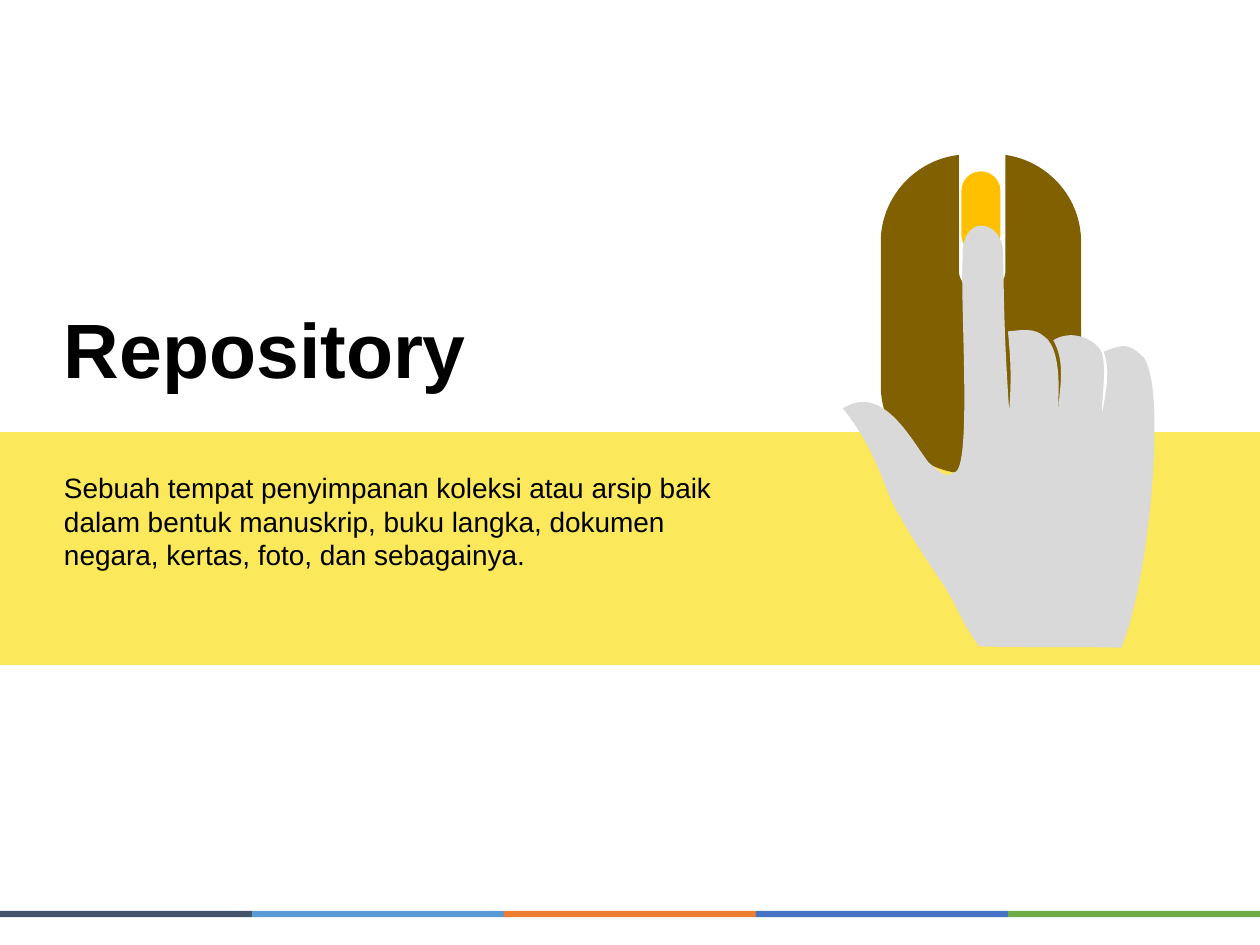
from lxml.etree import SubElement
from pptx import Presentation
from pptx.dml.color import RGBColor
from pptx.enum.shapes import MSO_SHAPE
from pptx.oxml.ns import qn
from pptx.util import Inches, Pt

BLACK = RGBColor(0, 0, 0)
YELLOW = RGBColor(0xFB, 0xE8, 0x5B)
BROWN = RGBColor(0x80, 0x60, 0x00)
GOLD = RGBColor(0xFF, 0xC0, 0x00)
GREY = RGBColor(0xD9, 0xD9, 0xD9)
STRIPES = [RGBColor.from_string(c) for c in
           ("44546A", "5B9BD5", "ED7D31", "4472C4", "70AD47")]

WIDTH, HEIGHT = 10, 7.5
MARGIN = 0.41

TITLE = "Repository"
BODY = ("Sebuah tempat penyimpanan koleksi atau arsip baik dalam bentuk "
        "manuskrip, buku langka, dokumen negara, kertas, foto, dan sebagainya.")

MOUSE_BOX = (6.99, 1.23, 1.59, 2.53)
MOUSE = [
    (7.61, 1.23), (7.61, 2.15), (7.61, 2.22, 7.66, 2.28, 7.72, 2.3),
    (7.72, 2.62), (7.72, 2.66, 7.75, 2.69, 7.79, 2.69),
    (7.83, 2.69, 7.86, 2.66, 7.86, 2.62), (7.86, 2.3),
    (7.93, 2.28, 7.98, 2.22, 7.98, 2.15), (7.98, 1.23),
    (8.32, 1.28, 8.58, 1.57, 8.58, 1.92), (8.58, 2.36), (8.58, 2.36),
    (8.58, 3.06), (8.58, 3.45, 8.27, 3.76, 7.88, 3.76), (7.69, 3.76),
    (7.31, 3.76, 6.99, 3.45, 6.99, 3.06), (6.99, 2.37), (6.99, 2.37),
    (6.99, 1.92), (6.99, 1.57, 7.26, 1.27, 7.61, 1.23),
]
HAND_BOX = (6.69, 1.79, 2.47, 3.35)
HAND = [
    (6.69, 3.24), (6.89, 3.49, 6.98, 3.73, 7.06, 3.94),
    (7.15, 4.13, 7.28, 4.33, 7.44, 4.57), (7.61, 4.81, 7.6, 4.89, 7.77, 5.13),
    (8.1, 5.14, 8.42, 5.13, 8.9, 5.14), (9.11, 4.6, 9.16, 3.71, 9.16, 3.53),
    (9.17, 3.19, 9.15, 2.96, 9.08, 2.84), (8.96, 2.72, 8.92, 2.73, 8.76, 2.79),
    (8.82, 2.94, 8.77, 3.14, 8.75, 3.27), (8.73, 3.27, 8.8, 2.86, 8.73, 2.77),
    (8.65, 2.67, 8.49, 2.62, 8.36, 2.7), (8.46, 2.88, 8.41, 3.08, 8.4, 3.24),
    (8.39, 3.23, 8.44, 2.85, 8.32, 2.7), (8.23, 2.61, 8.18, 2.61, 8, 2.63),
    (8.02, 2.85, 8.03, 2.98, 8.01, 3.26), (7.96, 2.53, 7.97, 2.24, 7.96, 1.99),
    (7.95, 1.74, 7.62, 1.69, 7.64, 2.05), (7.62, 2.41, 7.71, 3.63, 7.59, 3.74),
    (7.5, 3.79, 7.5, 3.78, 7.37, 3.67), (7.23, 3.49, 7.01, 3.04, 6.69, 3.24),
]


def paint(shape, color):
    shape.fill.solid()
    shape.fill.fore_color.rgb = color
    shape.line.fill.background()
    shape.shadow.inherit = False
    return shape


def block(shapes, kind, box, color):
    return paint(shapes.add_shape(kind, *map(Inches, box)), color)


def outline(shapes, box, route, color):
    left, top, wide, high = map(Inches, box)
    pen = shapes.build_freeform(left, top)
    pen.add_line_segments([(left + wide, top), (left + wide, top + high)])
    shape = pen.convert_to_shape()
    track = next(shape.element.iter(qn("a:path")))
    for node in list(track):
        track.remove(node)
    for turn, part in enumerate(route):
        tag = "cubicBezTo" if len(part) == 6 else "lnTo" if turn else "moveTo"
        node = SubElement(track, qn("a:" + tag))
        for x, y in zip(part[::2], part[1::2]):
            SubElement(node, qn("a:pt"), x=str(Inches(x) - left),
                       y=str(Inches(y) - top))
    SubElement(track, qn("a:close"))
    return paint(shape, color)


def label(shapes, text, box, size, pitch, bold=False, wrap=True):
    frame = shapes.add_textbox(*map(Inches, box)).text_frame
    frame.word_wrap = wrap
    line = frame.paragraphs[0]
    line.text = text
    line.line_spacing = Pt(pitch)
    font = line.font
    font.name, font.size, font.bold = "Arial", Pt(size), bold
    font.color.rgb = BLACK


def main():
    deck = Presentation()
    deck.slide_width, deck.slide_height = Inches(WIDTH), Inches(HEIGHT)
    shapes = deck.slides.add_slide(deck.slide_layouts[6]).shapes

    block(shapes, MSO_SHAPE.RECTANGLE, (0, 3.43, WIDTH, 1.85), YELLOW)
    label(shapes, BODY, (MARGIN, 3.69, 5.44, 1.45), 16, 19.1)
    label(shapes, TITLE, (MARGIN, 2.34, 3.43, 0.84), 44, 53, True, False)

    span = WIDTH / len(STRIPES)
    strip = shapes.add_group_shape().shapes
    for col, color in enumerate(STRIPES):
        block(strip, MSO_SHAPE.RECTANGLE, (col * span, 7.23, span, 0.05), color)

    art = shapes.add_group_shape().shapes
    outline(art, MOUSE_BOX, MOUSE, BROWN)
    wheel = block(art, MSO_SHAPE.ROUNDED_RECTANGLE, (7.63, 1.36, 0.31, 0.66), GOLD)
    wheel.adjustments[0] = 0.5
    outline(art, HAND_BOX, HAND, GREY)

    deck.save("out.pptx")


if __name__ == "__main__":
    main()
